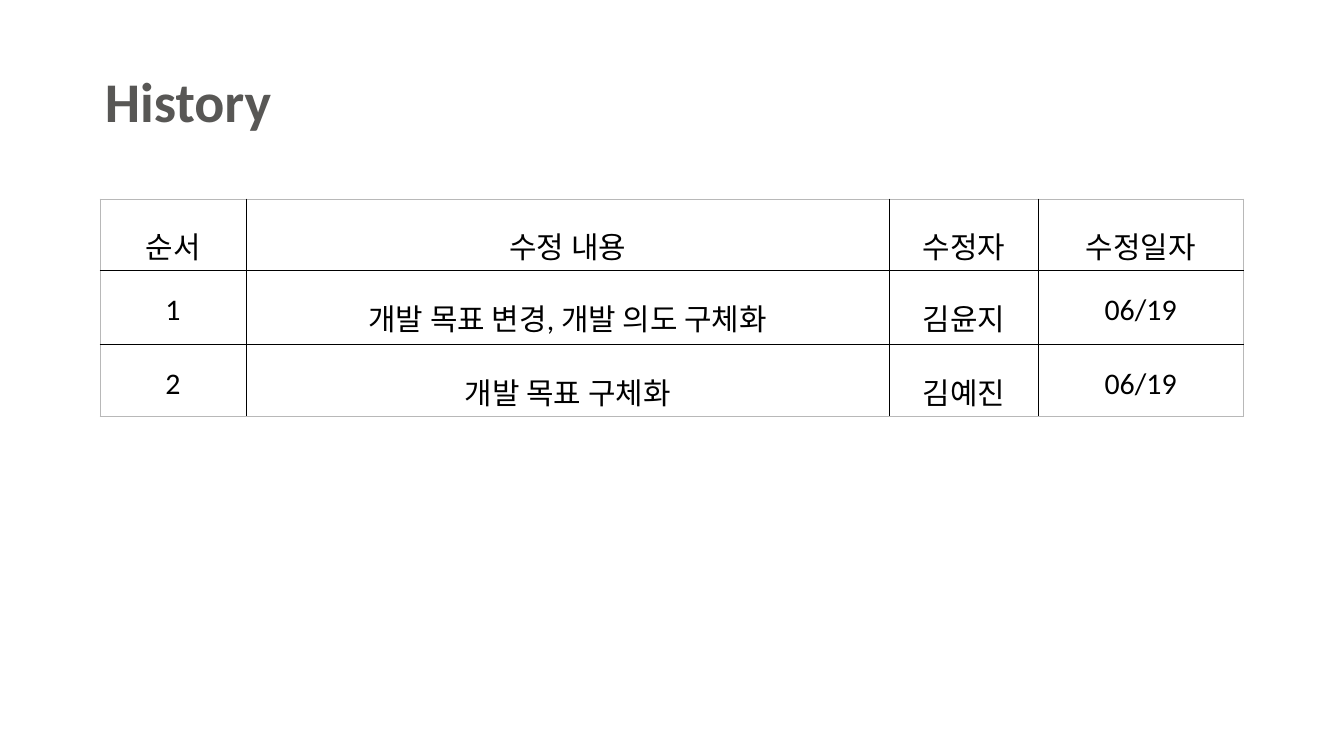
from lxml import etree
from pptx import Presentation
from pptx.dml.color import RGBColor
from pptx.enum.text import MSO_ANCHOR, PP_ALIGN
from pptx.oxml.ns import qn
from pptx.util import Inches, Pt

CENTER, LEFT = PP_ALIGN.CENTER, PP_ALIGN.LEFT
MIDDLE = MSO_ANCHOR.MIDDLE
BLACK = RGBColor(0x00, 0x00, 0x00)
GREY = RGBColor(0x58, 0x57, 0x55)
LIGHT = RGBColor(0xB8, 0xB8, 0xB8)
FONT = "Calibri"


def write(tf, text, size=32, color=BLACK, bold=False, align=CENTER, spacing=1.5):
    p = tf.paragraphs[0]
    p.alignment = align
    p.line_spacing = spacing
    r = p.add_run()
    r.text = text
    r.font.name = FONT
    r.font.size = Pt(size)
    r.font.bold = bold
    r.font.color.rgb = color


def add_border(cell, side, color):
    ln = etree.SubElement(cell._tc.get_or_add_tcPr(), qn(f"a:{side}"), w=str(Pt(1)))
    fill = etree.SubElement(ln, qn("a:solidFill"))
    etree.SubElement(fill, qn("a:srgbClr"), val=str(color))


prs = Presentation()
prs.slide_width = Inches(20)
prs.slide_height = Inches(11.25)
s = prs.slides.add_slide(prs.slide_layouts[5])

title = s.shapes.title
title.left, title.top = Inches(1.56), Inches(0.9)
title.width, title.height = Inches(5.85), Inches(1.17)
tf = title.text_frame
tf.margin_left = tf.margin_right = tf.margin_top = tf.margin_bottom = 0
tf.vertical_anchor = MIDDLE
write(tf, "History", size=60, color=GREY, bold=True, align=LEFT, spacing=1)

rows = [
    ["순서", "수정 내용", "수정자", "수정일자"],
    ["1", "개발 목표 변경, 개발 의도 구체화", "김윤지", "06/19"],
    ["2", "개발 목표 구체화", "김예진", "06/19"],
]
widths = [2.17, 9.58, 2.21, 3.05]
heights = [0.98, 1.1, 0.98]
last_row, last_col = len(rows) - 1, len(widths) - 1

table = s.shapes.add_table(len(rows), len(widths), Inches(1.49), Inches(2.96),
                           Inches(sum(widths)), Inches(sum(heights))).table
table.first_row = False
table.horz_banding = False
for col, width in zip(table.columns, widths):
    col.width = Inches(width)
for row, height in zip(table.rows, heights):
    row.height = Inches(height)

for i, texts in enumerate(rows):
    for j, text in enumerate(texts):
        cell = table.cell(i, j)
        outer = {"lnL": j == 0, "lnR": j == last_col, "lnT": i == 0, "lnB": i == last_row}
        for side, is_outer in outer.items():
            add_border(cell, side, LIGHT if is_outer else BLACK)
        cell.fill.background()
        write(cell.text_frame, text)

prs.save("out.pptx")
